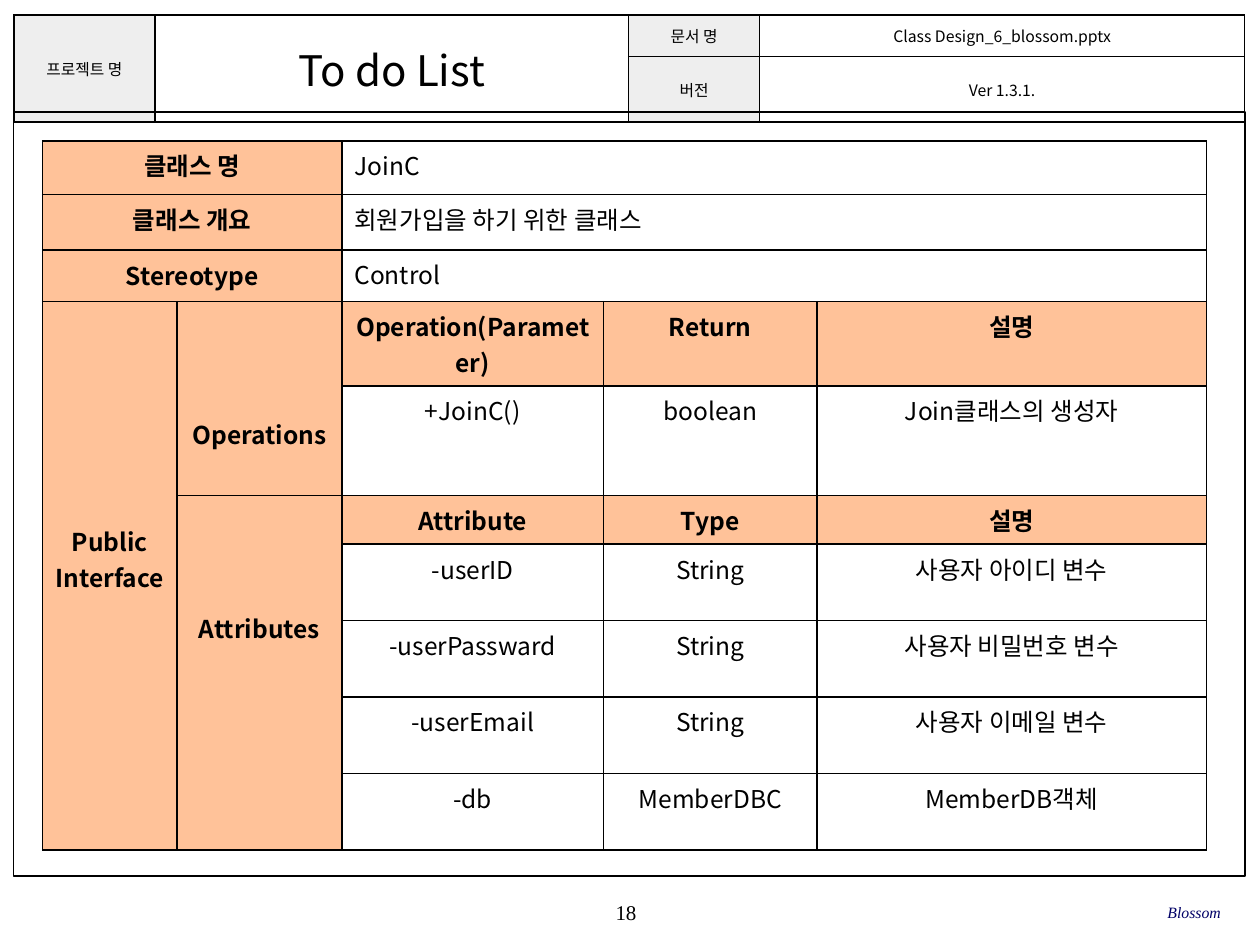
"""Build the class design sheet for JoinC."""
from lxml.etree import SubElement
from pptx import Presentation
from pptx.dml.color import RGBColor
from pptx.enum.shapes import MSO_SHAPE as Shape
from pptx.enum.text import MSO_ANCHOR as Anchor, PP_ALIGN as Align
from pptx.oxml import parse_xml
from pptx.oxml.ns import nsdecls, qn
from pptx.util import Cm, Pt

BLACK = RGBColor(0x00, 0x00, 0x00)
WHITE = RGBColor(0xFF, 0xFF, 0xFF)
GREY = RGBColor(0xEE, 0xEE, 0xEE)
ORANGE = RGBColor(0xFF, 0xC2, 0x99)
NAVY = RGBColor(0x00, 0x00, 0x66)
SANS, SERIF = "Noto Sans CJK KR", "Times New Roman"

BANNER_COLS, BANNER_ROWS = [2.84, 9.55, 2.64, 9.78], [0.84, 1.32]
BANNER = [
    ["프로젝트 명", "To do List", "문서 명", "Class Design_6_blossom.pptx"],
    [None, None, "버전", "Ver 1.3.1."],
]
BANNER_MERGES = [(0, 0, 1, 0), (0, 1, 1, 1)]

SPEC_COLS = [2.71, 3.32, 5.28, 4.3, 7.85]
SPEC_ROWS = [1.08, 1.12, 1.04, 1.7, 2.21, 0.98] + [1.54] * 4
SUMMARY = [
    ("클래스 명", "JoinC"),
    ("클래스 개요", "회원가입을 하기 위한 클래스"),
    ("Stereotype", "Control"),
]
INTERFACE = "Public\nInterface"
MEMBERS = [
    ("Operations", [
        ("Operation(Parameter)", "Return", "설명"),
        ("+JoinC()", "boolean", "Join클래스의 생성자"),
    ]),
    ("Attributes", [
        ("Attribute", "Type", "설명"),
        ("-userID", "String", "사용자 아이디 변수"),
        ("-userPassward", "String", "사용자 비밀번호 변수"),
        ("-userEmail", "String", "사용자 이메일 변수"),
        ("-db", "MemberDBC", "MemberDB객체"),
    ]),
]
INTERFACE_DROP, GROUP_DROP = 4.46, 2.31


def write(frame, text, size=14, font=SANS, color=BLACK, bold=False,
          italic=False, align=Align.CENTER):
    for index, line in enumerate(text.split("\n")):
        paragraph = frame.add_paragraph() if index else frame.paragraphs[0]
        paragraph.alignment = align
        run = paragraph.add_run()
        run.text = line
        run.font.size, run.font.name = Pt(size), font
        run.font.bold, run.font.italic = bold, italic
        run.font.color.rgb = color
        SubElement(run.font._element, qn("a:ea"), typeface=font)


def add_grid(slide, left, top, cols, rows, merges):
    grid = slide.shapes.add_table(len(rows), len(cols), Cm(left), Cm(top),
                                  Cm(sum(cols)), Cm(sum(rows))).table
    grid.first_row = grid.horz_banding = False
    for column, width in zip(grid.columns, cols):
        column.width = Cm(width)
    for row, height in zip(grid.rows, rows):
        row.height = Cm(height)
    for cell in grid.iter_cells():
        properties = cell._tc.get_or_add_tcPr()
        for side in "LRTB":
            properties.append(parse_xml(
                f'<a:ln{side} {nsdecls("a")} w="{Pt(1)}"><a:solidFill>'
                f'<a:srgbClr val="{BLACK}"/></a:solidFill></a:ln{side}>'))
        cell.fill.solid()
        cell.fill.fore_color.rgb = WHITE
    for first_row, first_col, last_row, last_col in merges:
        grid.cell(first_row, first_col).merge(grid.cell(last_row, last_col))
    return grid


def add_banner(slide):
    grid = add_grid(slide, 0.28, 0.3, BANNER_COLS, BANNER_ROWS, BANNER_MERGES)
    for r, labels in enumerate(BANNER):
        for c, label in enumerate(labels):
            cell = grid.cell(r, c)
            cell.vertical_anchor = Anchor.MIDDLE
            cell.margin_left = cell.margin_right = Cm(0.1)
            cell.margin_top = cell.margin_bottom = Cm(0.05)
            if c in (0, 2):
                cell.fill.fore_color.rgb = GREY
            if label:
                write(cell.text_frame, label, size=24 if c == 1 else 9)


def add_spec(slide):
    first = len(SUMMARY)
    merges = [(r, c, r, end) for r in range(first) for c, end in ((0, 1), (2, 4))]
    merges.append((first, 0, len(SPEC_ROWS) - 1, 0))
    start = first
    for _, entries in MEMBERS:
        merges.append((start, 1, start + len(entries) - 1, 1))
        start += len(entries)
    grid = add_grid(slide, 0.86, 2.84, SPEC_COLS, SPEC_ROWS, merges)

    def head(r, c, label, drop=0.13):
        cell = grid.cell(r, c)
        cell.fill.fore_color.rgb = ORANGE
        cell.margin_top = Cm(drop)
        write(cell.text_frame, label, bold=True)

    for r, (label, value) in enumerate(SUMMARY):
        head(r, 0, label)
        write(grid.cell(r, 2).text_frame, value, align=Align.LEFT)
    head(first, 0, INTERFACE, INTERFACE_DROP)
    start = first
    for group, (titles, *entries) in MEMBERS:
        head(start, 1, group, GROUP_DROP)
        for c, title in enumerate(titles, 2):
            head(start, c, title)
        for r, entry in enumerate(entries, start + 1):
            for c, value in enumerate(entry, 2):
                write(grid.cell(r, c).text_frame, value)
        start += 1 + len(entries)


def add_footer(slide, left, width, text, **style):
    frame = slide.shapes.add_textbox(Cm(left), Cm(17.97), Cm(width), Cm(0.84)).text_frame
    frame.word_wrap = True
    frame.vertical_anchor = Anchor.MIDDLE
    frame.margin_left = frame.margin_right = frame.margin_top = frame.margin_bottom = 0
    write(frame, text, font=SERIF, **style)


def main():
    deck = Presentation()
    deck.slide_width, deck.slide_height = Cm(25.4), Cm(19.05)
    slide = deck.slides.add_slide(deck.slide_layouts[6])
    add_footer(slide, 9.98, 5.28, "18", size=12)
    add_banner(slide)
    border = slide.shapes.add_shape(Shape.RECTANGLE, Cm(0.28), Cm(2.26), Cm(24.82), Cm(15.4))
    border.shadow.inherit = False
    border.fill.background()
    border.line.color.rgb = BLACK
    border.line.width = Pt(0.75)
    add_footer(slide, 16.84, 7.77, "Blossom", size=9, color=NAVY, italic=True,
               align=Align.RIGHT)
    add_spec(slide)
    deck.save("out.pptx")


if __name__ == "__main__":
    main()
